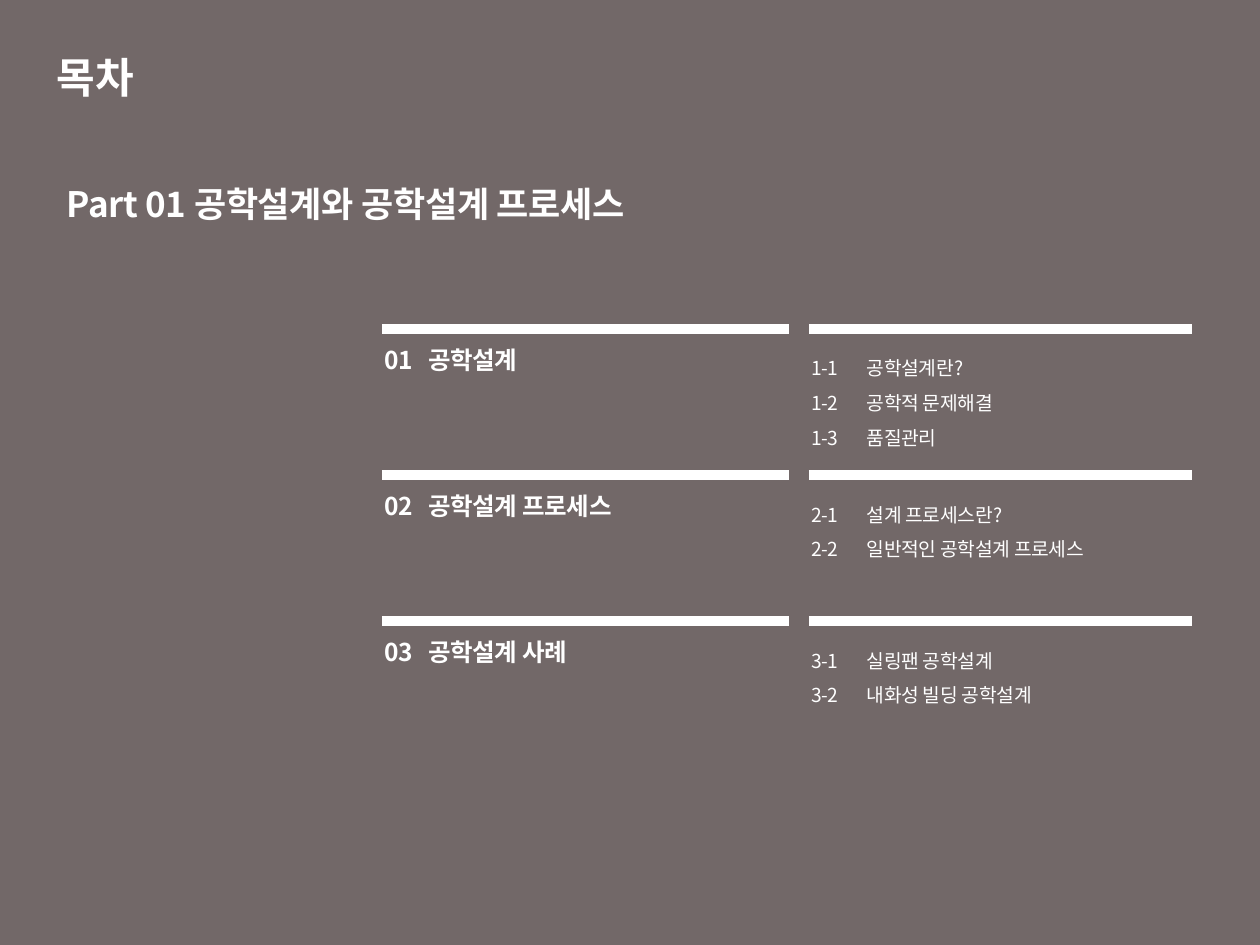
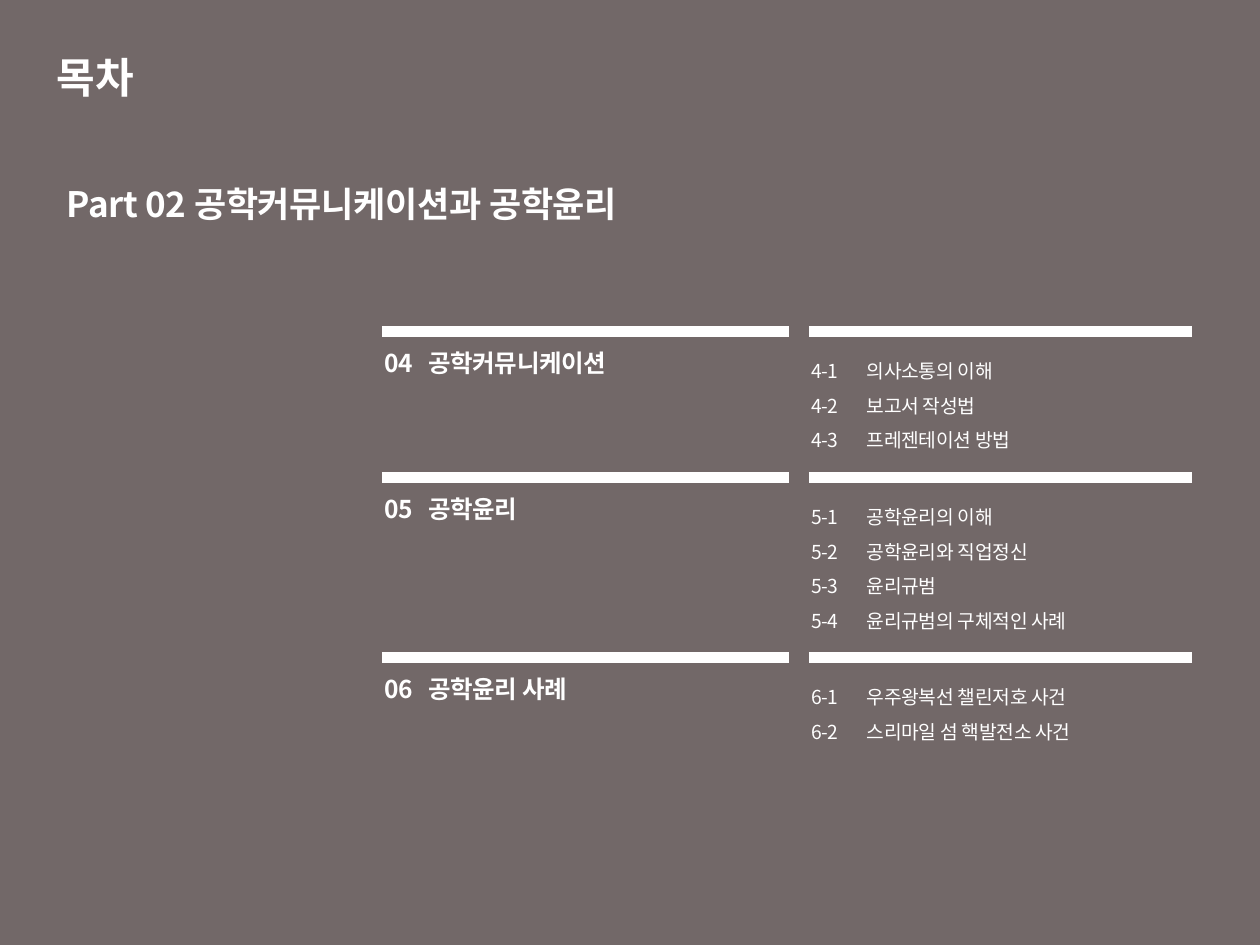
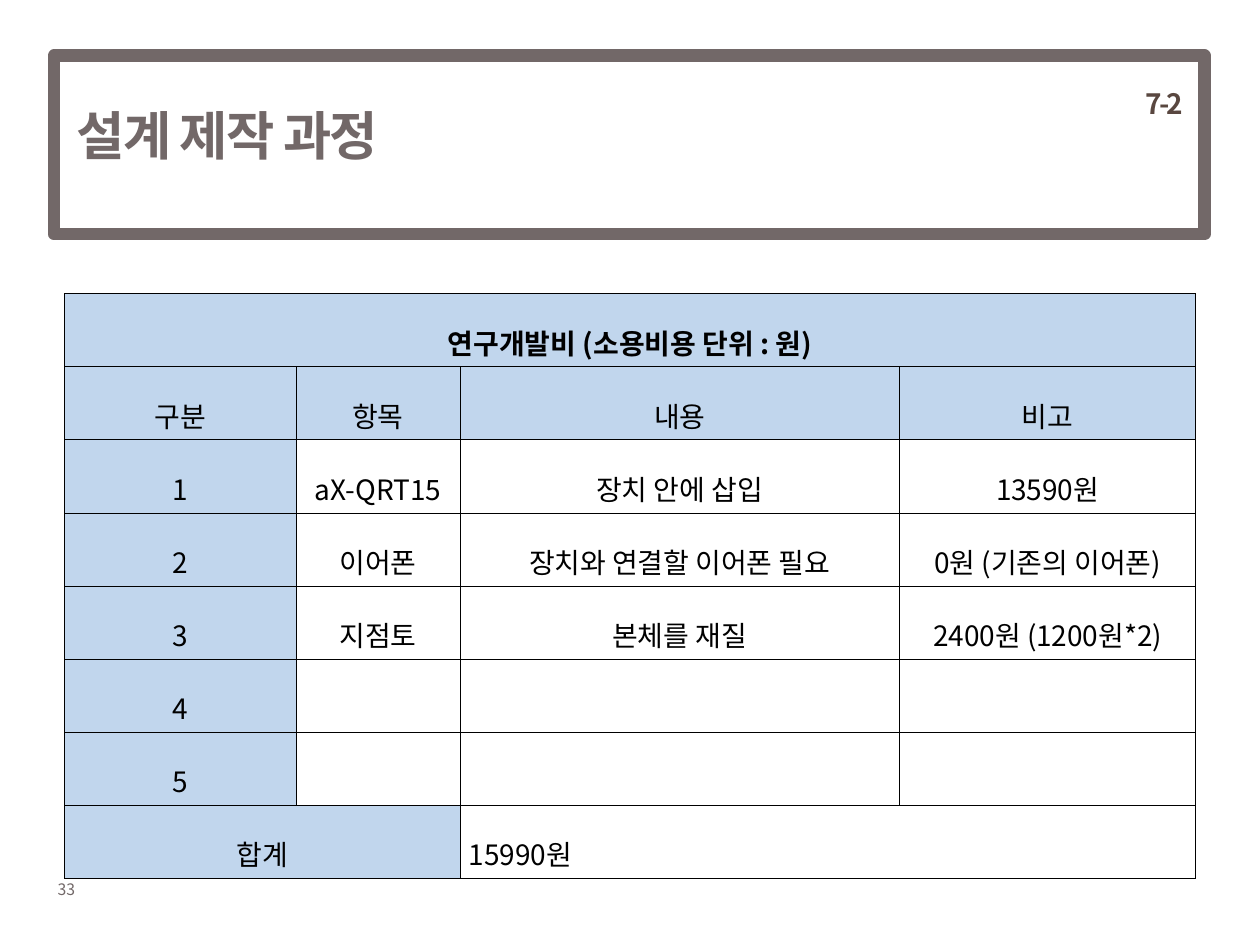
"""Build two contents pages and one cost table page."""
from lxml import etree
from pptx import Presentation
from pptx.dml.color import RGBColor
from pptx.enum.shapes import MSO_CONNECTOR, MSO_SHAPE
from pptx.enum.text import MSO_ANCHOR, PP_ALIGN
from pptx.oxml.ns import qn
from pptx.util import Inches, Pt

STRAIGHT = MSO_CONNECTOR.STRAIGHT
RECTANGLE = MSO_SHAPE.RECTANGLE
MIDDLE = MSO_ANCHOR.MIDDLE
CENTER, RIGHT, JUSTIFY = PP_ALIGN.CENTER, PP_ALIGN.RIGHT, PP_ALIGN.JUSTIFY

WHITE = RGBColor(0xFF, 0xFF, 0xFF)
BLACK = RGBColor(0x00, 0x00, 0x00)
TAUPE = RGBColor(0x72, 0x68, 0x68)
BROWN = RGBColor(0x59, 0x47, 0x40)
PALE_BLUE = RGBColor(0xC1, 0xD6, 0xED)
FONT = "Noto Sans CJK KR"

CONTENTS_TITLE = "목차"
CONTENTS = [
    {"part": "Part 01 공학설계와 공학설계 프로세스", "top": 2.61, "chapters": [
        ("01", "공학설계", ["공학설계란?", "공학적 문제해결", "품질관리"]),
        ("02", "공학설계 프로세스", ["설계 프로세스란?", "일반적인 공학설계 프로세스"]),
        ("03", "공학설계 사례", ["실링팬 공학설계", "내화성 빌딩 공학설계"]),
    ]},
    {"part": "Part 02 공학커뮤니케이션과 공학윤리", "top": 2.63, "chapters": [
        ("04", "공학커뮤니케이션", ["의사소통의 이해", "보고서 작성법", "프레젠테이션 방법"]),
        ("05", "공학윤리", ["공학윤리의 이해", "공학윤리와 직업정신", "윤리규범",
                        "윤리규범의 구체적인 사례"]),
        ("06", "공학윤리 사례", ["우주왕복선 챌린저호 사건", "스리마일 섬 핵발전소 사건"]),
    ]},
]
COST_TITLE, COST_SECTION, COST_PAGE = "설계 제작 과정", "7-2", "33"
COST_ROWS = [
    ["연구개발비 (소용비용 단위 : 원)", "", "", ""],
    ["구분", "항목", "내용", "비고"],
    ["1", "aX-QRT15", "장치 안에 삽입", "13590원"],
    ["2", "이어폰", "장치와 연결할 이어폰 필요", "0원 (기존의 이어폰)"],
    ["3", "지점토", "본체를 재질", "2400원 (1200원*2)"],
    ["4", "", "", ""],
    ["5", "", "", ""],
    ["합계", "", "15990원", ""],
]
COST_WIDTHS = [1.84, 1.3, 3.49, 2.35]
COST_MERGES = [((0, 0), (0, 3)), ((7, 0), (7, 1)), ((7, 2), (7, 3))]
ROW_HEIGHT = 0.58

BAR_SPANS = [(3.03, 6.26), (6.42, 9.46)]
CHAPTER_LEFT, SECTION_LEFT, COLUMN_WIDTH = 2.95, 6.34, 3.62
TEXT_DROP = 0.08
CHAPTER_PITCH, EXTRA_LINE, USUAL_LINES = 1.16, 0.27, 3

TITLE = {"size": Pt(24), "bold": True, "color": WHITE}
PART = {"size": Pt(20), "bold": True, "color": WHITE, "spacing": -0.2}
CHAPTER = {"size": Pt(14), "bold": True, "color": WHITE, "spacing": -0.2}
SECTION = {"size": Pt(11), "color": WHITE, "spacing": -0.2}
COST_HEADING = {"size": Pt(30), "bold": True, "color": TAUPE, "spacing": -1}
SECTION_MARK = {"size": Pt(16), "bold": True, "color": BROWN, "spacing": -1.5}
PAGE_NUMBER = {"size": Pt(9), "color": TAUPE}
CELL = {"size": Pt(16), "color": BLACK}


def write(para, text, style, layout=None, tab=None):
    """Put one styled run in a paragraph."""
    for name, value in (layout or {}).items():
        setattr(para, name, value)
    if tab:
        stops = etree.SubElement(para._p.get_or_add_pPr(), qn("a:tabLst"))
        etree.SubElement(stops, qn("a:tab"), pos=str(Inches(tab)), algn="l")
    span = para.add_run()
    span.text = text
    for name, value in style.items():
        if name == "color":
            span.font.color.rgb = value
        elif name == "spacing":
            span._r.get_or_add_rPr().set("spc", str(round(value * 100)))
        else:
            setattr(span.font, name, value)
    span.font.name = FONT
    etree.SubElement(span._r.get_or_add_rPr(), qn("a:ea"), typeface=FONT)


def add_text(page, place, lines, style, layout=None, tab=None, anchor=None, wrap=True):
    """Add a text box with one paragraph per line."""
    frame = page.shapes.add_textbox(*map(Inches, place)).text_frame
    frame.word_wrap = wrap
    if anchor is not None:
        frame.vertical_anchor = anchor
    for index, line in enumerate(lines):
        para = frame.add_paragraph() if index else frame.paragraphs[0]
        write(para, line, style, layout, tab)


def add_box(page, place, fill=None, line=None, width=0):
    """Add a plain rectangle."""
    box = page.shapes.add_shape(RECTANGLE, *map(Inches, place))
    box.shadow.inherit = False
    for part, color in ((box.fill, fill), (box.line.fill, line)):
        if color is None:
            part.background()
        else:
            part.solid()
            part.fore_color.rgb = color
    if line is not None:
        box.line.width = Pt(width)


def add_bar(page, start, end, top):
    """Add a thick white horizontal line."""
    bar = page.shapes.add_connector(
        STRAIGHT, Inches(start), Inches(top), Inches(end), Inches(top))
    bar.line.color.rgb = WHITE
    bar.line.width = Pt(6)
    etree.SubElement(bar._element.spPr, qn("a:effectLst"))


def add_contents_page(page, content):
    """Draw the chapters and sections of one part."""
    add_box(page, (0, 0, 10, 7.5), fill=TAUPE)
    add_text(page, (0.35, 0.29, 3.15, 0.63), [CONTENTS_TITLE], TITLE, anchor=MIDDLE)
    add_text(page, (0.43, 1.23, 5.67, 0.79), [content["part"]], PART, {"line_spacing": 1.5})
    top = content["top"]
    for number, name, sections in content["chapters"]:
        for start, end in BAR_SPANS:
            add_bar(page, start, end, top)
        text_top = top + TEXT_DROP
        add_text(page, (CHAPTER_LEFT, text_top, COLUMN_WIDTH, 0.39),
                 [f"{number}\t{name}"], CHAPTER, tab=0.35)
        lines = [f"{int(number)}-{index}\t{section}"
                 for index, section in enumerate(sections, 1)]
        add_text(page, (SECTION_LEFT, text_top, COLUMN_WIDTH, 0.71),
                 lines, SECTION, {"line_spacing": 1.5}, tab=0.44)
        top += CHAPTER_PITCH + EXTRA_LINE * max(0, len(sections) - USUAL_LINES)


def add_borders(cell):
    """Give a cell thin black lines on all four sides."""
    properties = cell._tc.get_or_add_tcPr()
    for side in ("lnL", "lnR", "lnT", "lnB"):
        border = etree.SubElement(properties, qn(f"a:{side}"), w=str(Pt(0.28)))
        fill = etree.SubElement(border, qn("a:solidFill"))
        etree.SubElement(fill, qn("a:srgbClr"), val=str(BLACK))


def add_cost_table(page):
    """Draw the cost table."""
    place = (0.51, 2.33, sum(COST_WIDTHS), ROW_HEIGHT * len(COST_ROWS))
    table = page.shapes.add_table(
        len(COST_ROWS), len(COST_WIDTHS), *map(Inches, place)).table
    table.first_row = table.horz_banding = False
    for column, width in zip(table.columns, COST_WIDTHS):
        column.width = Inches(width)
    cell_format = {"vertical_anchor": MIDDLE,
                   "margin_left": Inches(0.07), "margin_right": Inches(0.07),
                   "margin_top": Inches(0.02), "margin_bottom": Inches(0.02)}
    last = len(COST_ROWS) - 1
    for row, values in enumerate(COST_ROWS):
        for column, value in enumerate(values):
            cell = table.cell(row, column)
            for name, setting in cell_format.items():
                setattr(cell, name, setting)
            add_borders(cell)
            if row < 2 or column == 0:
                cell.fill.solid()
                cell.fill.fore_color.rgb = PALE_BLUE
            else:
                cell.fill.background()
            if value:
                align = JUSTIFY if row == last and column else CENTER
                write(cell.text_frame.paragraphs[0], value, {**CELL, "bold": row == 0},
                      {"alignment": align, "line_spacing": 1.6})
    for start, end in COST_MERGES:
        table.cell(*start).merge(table.cell(*end))


def add_cost_page(page):
    """Draw the framed heading, the table and the page number."""
    add_text(page, (0.36, 6.93, 0.52, 0.25), [COST_PAGE], PAGE_NUMBER, wrap=False)
    add_text(page, (0.51, 0.44, 7.17, 1.26), [COST_TITLE], COST_HEADING, anchor=MIDDLE)
    add_box(page, (0.43, 0.44, 9.13, 1.42), line=TAUPE, width=7)
    add_text(page, (7.69, 0.13, 1.8, 1.18), [COST_SECTION], SECTION_MARK,
             {"alignment": RIGHT, "line_spacing": Pt(56)})
    add_cost_table(page)


def main():
    """Build and save the deck."""
    deck = Presentation()
    deck.slide_width, deck.slide_height = Inches(10), Inches(7.5)
    blank = deck.slide_layouts[6]
    for content in CONTENTS:
        add_contents_page(deck.slides.add_slide(blank), content)
    add_cost_page(deck.slides.add_slide(blank))
    deck.save("out.pptx")


if __name__ == "__main__":
    main()
